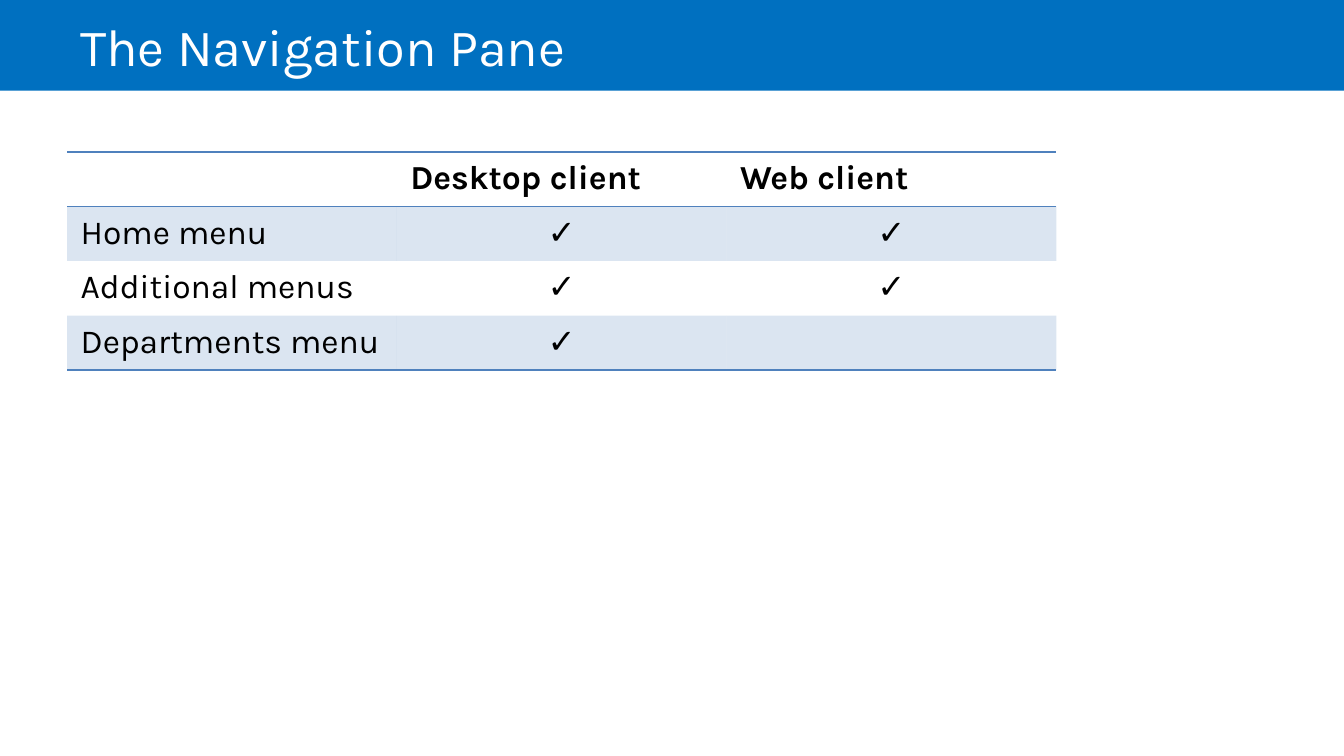
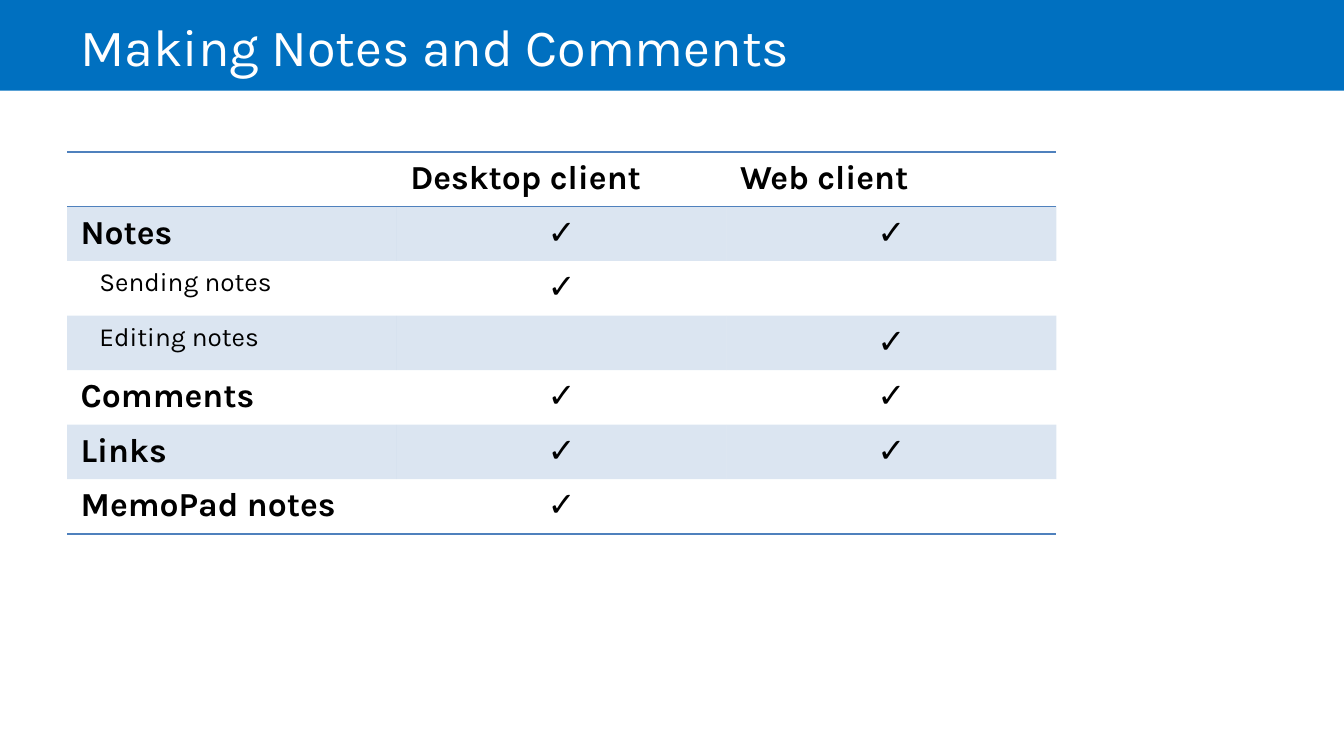
from dataclasses import dataclass

from lxml.etree import SubElement
from pptx import Presentation
from pptx.dml.color import RGBColor
from pptx.enum.shapes import MSO_SHAPE
from pptx.enum.text import MSO_ANCHOR, PP_ALIGN
from pptx.oxml.ns import qn
from pptx.presentation import Presentation as Deck
from pptx.slide import Slide
from pptx.table import Table, _Cell
from pptx.text.text import TextFrame
from pptx.util import Inches, Pt

WIDTH = Inches(10)
HEIGHT = WIDTH * 9 // 16
BAND_HEIGHT = HEIGHT * 3 // 25
MARGIN = WIDTH // 20
TABLE_TOP = Inches(1.13)
COLUMN = Inches(7.36) // 3
ROW = HEIGHT * 13 // 180
CELL_INSET, SUBITEM_INSET = Inches(0.1), Inches(0.24)

FONT = "Karla"
BAND_BLUE = RGBColor(0x00, 0x70, 0xC0)
RULE_BLUE = RGBColor(0x4F, 0x81, 0xBD)
WHITE = RGBColor(0xFF, 0xFF, 0xFF)
BLACK = RGBColor(0x00, 0x00, 0x00)
STRIPE_ALPHA = "20000"
PLAIN_TABLE_STYLE = "{2D5ABB26-0587-4C30-8999-92F81FD0307C}"
CLIENTS = ("Desktop client", "Web client")
CHECK = "✓"


@dataclass(frozen=True)
class Feature:
    label: str
    desktop: bool = False
    web: bool = False
    bold: bool = False
    subitem: bool = False


@dataclass(frozen=True)
class Comparison:
    title: str
    features: tuple[Feature, ...]


COMPARISONS = (
    Comparison("The Navigation Pane", (
        Feature("Home menu", desktop=True, web=True),
        Feature("Additional menus", desktop=True, web=True),
        Feature("Departments menu", desktop=True),
    )),
    Comparison("Making Notes and Comments", (
        Feature("Notes", desktop=True, web=True, bold=True),
        Feature("Sending notes", desktop=True, subitem=True),
        Feature("Editing notes", web=True, subitem=True),
        Feature("Comments", desktop=True, web=True, bold=True),
        Feature("Links", desktop=True, web=True, bold=True),
        Feature("MemoPad notes", desktop=True, bold=True),
    )),
)


def write(frame: TextFrame, text: str, size: int, color: RGBColor,
          bold: bool = False, align: PP_ALIGN = PP_ALIGN.LEFT) -> None:
    frame.text = text
    paragraph = frame.paragraphs[0]
    paragraph.alignment = align
    for run in paragraph.runs:
        run.font.name = FONT
        run.font.size = Pt(size)
        run.font.bold = bold
        run.font.color.rgb = color


def add_title(slide: Slide, title: str) -> None:
    band = slide.shapes.add_shape(MSO_SHAPE.RECTANGLE, 0, 0, WIDTH, BAND_HEIGHT)
    band.shadow.inherit = False
    band.fill.solid()
    band.fill.fore_color.rgb = BAND_BLUE
    band.line.fill.background()
    heading = slide.shapes.add_textbox(MARGIN, 0, WIDTH - 2 * MARGIN, BAND_HEIGHT)
    heading.text_frame.word_wrap = True
    heading.text_frame.vertical_anchor = MSO_ANCHOR.MIDDLE
    write(heading.text_frame, title, 28, WHITE)


def add_rule(cell: _Cell, side: str) -> None:
    rule = SubElement(cell._tc.get_or_add_tcPr(), qn(f"a:{side}"), w=str(Pt(1)))
    fill = SubElement(rule, qn("a:solidFill"))
    SubElement(fill, qn("a:srgbClr"), val=str(RULE_BLUE))


def fill_cell(cell: _Cell, striped: bool) -> None:
    if not striped:
        cell.fill.background()
        return
    cell.fill.solid()
    cell.fill.fore_color.rgb = RULE_BLUE
    color = cell._tc.tcPr.find(qn("a:solidFill")).find(qn("a:srgbClr"))
    SubElement(color, qn("a:alpha"), val=STRIPE_ALPHA)


def style_grid(table: Table) -> None:
    table.first_row = table.horz_banding = False
    table._tbl.tblPr.find(qn("a:tableStyleId")).text = PLAIN_TABLE_STYLE
    last = len(table.rows) - 1
    for index, row in enumerate(table.rows):
        row.height = ROW
        for cell in row.cells:
            if index == 0:
                add_rule(cell, "lnT")
            if index in (0, last):
                add_rule(cell, "lnB")
            fill_cell(cell, striped=index % 2 == 1)


def add_comparison(slide: Slide, features: tuple[Feature, ...]) -> None:
    rows, columns = len(features) + 1, len(CLIENTS) + 1
    table = slide.shapes.add_table(
        rows, columns, MARGIN, TABLE_TOP, columns * COLUMN, rows * ROW).table
    for column in table.columns:
        column.width = COLUMN
    style_grid(table)
    for position, client in enumerate(CLIENTS, start=1):
        write(table.cell(0, position).text_frame, client, 18, BLACK, bold=True)
    for index, feature in enumerate(features, start=1):
        label = table.cell(index, 0)
        label.margin_left = SUBITEM_INSET if feature.subitem else CELL_INSET
        write(label.text_frame, feature.label, 14 if feature.subitem else 18,
              BLACK, feature.bold)
        for position, supported in enumerate((feature.desktop, feature.web), start=1):
            if supported:
                write(table.cell(index, position).text_frame, CHECK, 18, BLACK,
                      align=PP_ALIGN.CENTER)


def build_deck() -> Deck:
    deck = Presentation()
    deck.slide_width, deck.slide_height = WIDTH, HEIGHT
    for comparison in COMPARISONS:
        slide = deck.slides.add_slide(deck.slide_layouts[6])
        add_title(slide, comparison.title)
        add_comparison(slide, comparison.features)
    return deck


if __name__ == "__main__":
    build_deck().save("out.pptx")
